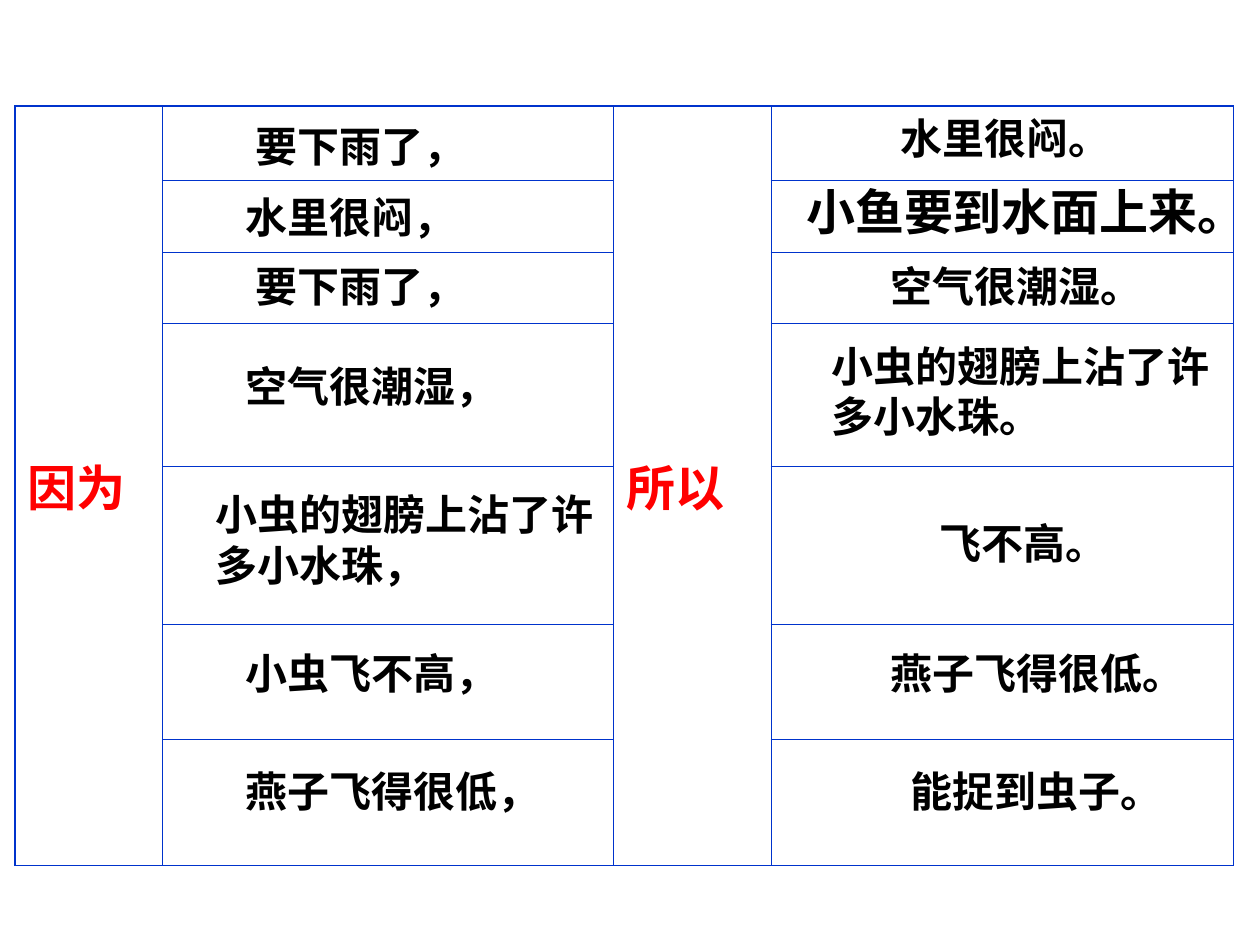
from lxml import etree
from pptx import Presentation
from pptx.dml.color import RGBColor
from pptx.enum import text
from pptx.oxml import ns
from pptx.util import Emu, Inches, Pt

THEME = {
    "paper": RGBColor.from_string("FFFFFF"),
    "line": "0033CC",
    "thin": 0.45,
    "thick": 1.08,
    "label": {"size": Pt(28), "name": "Arial", "bold": True,
              "color": RGBColor.from_string("FF0000")},
    "clause": {"size": Pt(24), "name": "Times New Roman", "bold": True,
               "color": RGBColor.from_string("000000")},
}

TABLE_LEFT, TABLE_TOP = 0.12, 0.84
COLUMN_WIDTHS = [1.17, 3.58, 1.25, 3.67]
ROW_HEIGHTS = [0.59, 0.57, 0.57, 1.13, 1.26, 0.91, 1.0]
LABELS = {0: "因为", 2: "所以"}  # column: word joining all rows

# left, top, width, paragraphs, type size
CAUSES = [
    (1.93, 0.91, 2.60, ["要下雨了，"], 24),
    (1.85, 1.47, 2.52, ["水里很闷，"], 24),
    (1.93, 2.02, 2.28, ["要下雨了，"], 24),
    (1.85, 2.81, 2.68, ["空气很潮湿，"], 24),
    (1.61, 3.83, 3.23, ["小虫的翅膀上沾了许多小水珠，"], 24),
    (1.85, 5.09, 2.91, ["小虫飞不高，"], 24),
    (1.85, 6.03, 3.31, ["燕子飞得很低，"], 24),
]
RESULTS = [
    (7.05, 0.84, 2.28, ["水里很闷。"], 24),
    (6.30, 1.39, 3.98, ["小鱼要到水面上来。"], 28),
    (6.97, 2.02, 2.68, ["空气很潮湿。"], 24),
    (6.50, 2.65, 3.50, ["小虫的翅膀上沾了许", "多小水珠。"], 24),
    (7.36, 4.06, 1.97, ["飞不高。"], 24),
    (6.97, 5.09, 3.03, ["燕子飞得很低。"], 24),
    (7.13, 6.03, 2.68, ["能捉到虫子。"], 24),
]


def write(paragraph, words, style):
    span = paragraph.add_run()
    span.text = words
    for key, value in style.items():
        if key == "color":
            span.font.color.rgb = value
        else:
            setattr(span.font, key, value)


def add_border(cell, side, width):
    properties = cell._tc.get_or_add_tcPr()
    line = etree.SubElement(properties, ns.qn(f"a:ln{side}"), w=str(int(Pt(width))))
    fill = etree.SubElement(line, ns.qn("a:solidFill"))
    etree.SubElement(fill, ns.qn("a:srgbClr"), val=THEME["line"])


def style_cell(cell, row, column):
    """Draw thick outer edges, thin inner ones, and none inside a label column."""
    last_row, last_column = len(ROW_HEIGHTS) - 1, len(COLUMN_WIDTHS) - 1
    label = column in LABELS
    outer = {"L": column == 0, "R": column == last_column, "T": row == 0,
             "B": row == last_row or (label and row == 0)}
    for side, is_outer in outer.items():
        if is_outer or side in "LR" or not label:
            add_border(cell, side, THEME["thick" if is_outer else "thin"])
    cell.fill.solid()
    cell.fill.fore_color.rgb = THEME["paper"]


def add_grid(page):
    frame = page.shapes.add_table(
        len(ROW_HEIGHTS), len(COLUMN_WIDTHS), Inches(TABLE_LEFT), Inches(TABLE_TOP),
        Inches(sum(COLUMN_WIDTHS)), Inches(sum(ROW_HEIGHTS)))
    table = frame.table
    table.first_row = table.horz_banding = False
    for column, width in enumerate(COLUMN_WIDTHS):
        table.columns[column].width = Inches(width)
    for row, height in enumerate(ROW_HEIGHTS):
        table.rows[row].height = Inches(height)
        for column in range(len(COLUMN_WIDTHS)):
            style_cell(table.cell(row, column), row, column)
    for column, word in LABELS.items():
        cell = table.cell(0, column)
        cell.merge(table.cell(len(ROW_HEIGHTS) - 1, column))
        cell.vertical_anchor = text.MSO_ANCHOR.MIDDLE
        write(cell.text_frame.paragraphs[0], word, THEME["label"])


def add_clause(page, left, top, width, lines, size):
    height = {24: 0.5, 28: 0.57}[size]
    if len(lines) > 1 or len(lines[0]) * size > (width - 0.2) * 72:
        height = 0.9
    box = page.shapes.add_textbox(*map(Inches, (left, top, width, height)))
    frame = box.text_frame
    frame.word_wrap = True
    frame.auto_size = text.MSO_AUTO_SIZE.SHAPE_TO_FIT_TEXT
    for index, line in enumerate(lines):
        para = frame.add_paragraph() if index else frame.paragraphs[0]
        write(para, line, {**THEME["clause"], "size": Pt(size)})


def main():
    deck = Presentation()
    deck.slide_width, deck.slide_height = Inches(10), Inches(7.5)
    page = deck.slides.add_slide(deck.slide_layouts[6])
    add_grid(page)
    for cause, result in zip(CAUSES, RESULTS):
        add_clause(page, *cause)
        add_clause(page, *result)
    deck.save("out.pptx")


if __name__ == "__main__":
    main()
